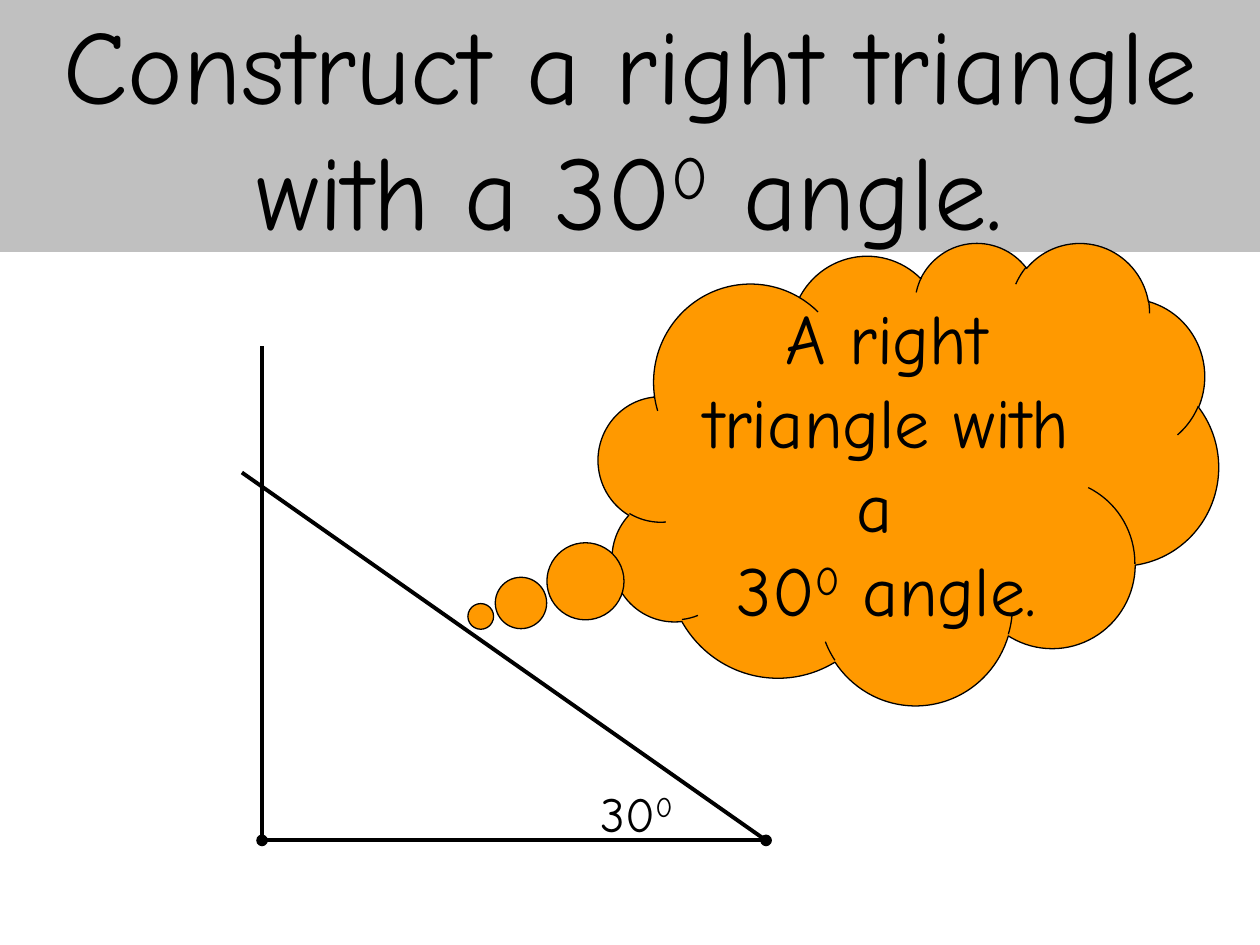
import pptx
import pptx.util
import pptx.dml.color
import pptx.enum.shapes
import pptx.enum.text
import pptx.oxml.ns
import lxml.etree

Inches = pptx.util.Inches
Pt = pptx.util.Pt
Shape = pptx.enum.shapes.MSO_SHAPE
Align = pptx.enum.text.PP_ALIGN
Anchor = pptx.enum.text.MSO_ANCHOR
FONT = "Comic Neue"
BLACK = "000000"


def color(code):
    return pptx.dml.color.RGBColor.from_string(code)


def add_tag(parent, name, **attrs):
    return lxml.etree.SubElement(parent, pptx.oxml.ns.qn(name), attrs)


def write(shape, parts, size, align, anchor):
    frame = shape.text_frame
    frame.word_wrap = True
    frame.vertical_anchor = anchor
    frame.text = parts[0]
    para = frame.paragraphs[0]
    para.alignment = align
    for part in parts[1:]:
        para.add_run().text = part
    for run in para.runs:
        run.font.name = FONT
        run.font.size = Pt(size)
        run.font.color.rgb = color(BLACK)
        if run.text == "0":
            run._r.get_or_add_rPr().set("baseline", "30000")


def add_panel(slide, kind, box, fill, parts, size, edge=None):
    shape = slide.shapes.add_shape(kind, *map(Inches, box))
    shape.shadow.inherit = False
    shape.fill.solid()
    shape.fill.fore_color.rgb = color(fill)
    if edge:
        shape.line.color.rgb = color(edge)
        shape.line.width = Pt(0.75)
    else:
        shape.line.fill.background()
    write(shape, parts, size, Align.CENTER, Anchor.MIDDLE)
    return shape


def add_side(slide, start, end, dots=False):
    side = slide.shapes.add_connector(
        pptx.enum.shapes.MSO_CONNECTOR.STRAIGHT, *map(Inches, start + end))
    side.line.color.rgb = color(BLACK)
    side.line.width = Pt(2.25)
    if dots:
        line = side.line._get_or_add_ln()
        add_tag(line, "a:headEnd", type="oval")
        add_tag(line, "a:tailEnd", type="oval")
    add_tag(side._element.spPr, "a:effectLst")


def add_label(slide, box, parts, size):
    label = slide.shapes.add_textbox(*map(Inches, box))
    write(label, parts, size, Align.LEFT, Anchor.TOP)


def main():
    deck = pptx.Presentation()
    deck.slide_width = Inches(10)
    deck.slide_height = Inches(7.5)
    slide = deck.slides.add_slide(deck.slide_layouts[6])

    right = (6.08, 6.67)
    corner = (2.08, 6.67)
    add_panel(slide, Shape.RECTANGLE, (0, 0, 10, 2), "C0C0C0",
              ["Construct a right triangle with a 30", "0", " angle."], 60)
    add_side(slide, right, corner, dots=True)
    add_side(slide, corner, (2.08, 2.75))
    cloud = add_panel(slide, Shape.CLOUD_CALLOUT, (4.75, 1.92, 4.92, 3.67),
                      "FF9900",
                      ["A right triangle with a \v30", "0", " angle."],
                      40, BLACK)
    cloud.adjustments[0] = -0.69
    cloud.adjustments[1] = 0.31
    add_side(slide, right, (1.92, 3.75))
    add_label(slide, (4.67, 6.17, 1.67, 0.57), ["30", "0"], 28)

    deck.save("out.pptx")


if __name__ == "__main__":
    main()
